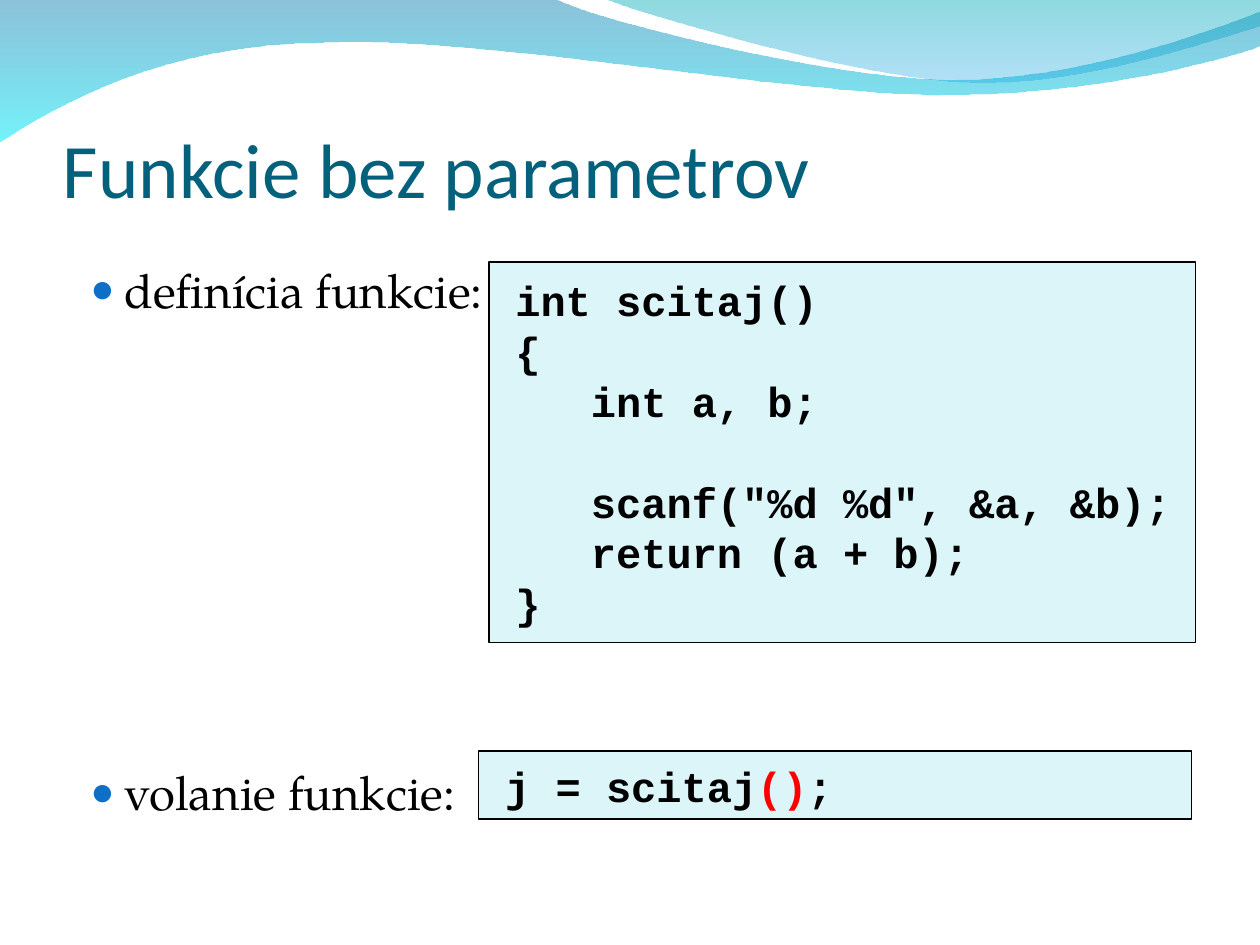
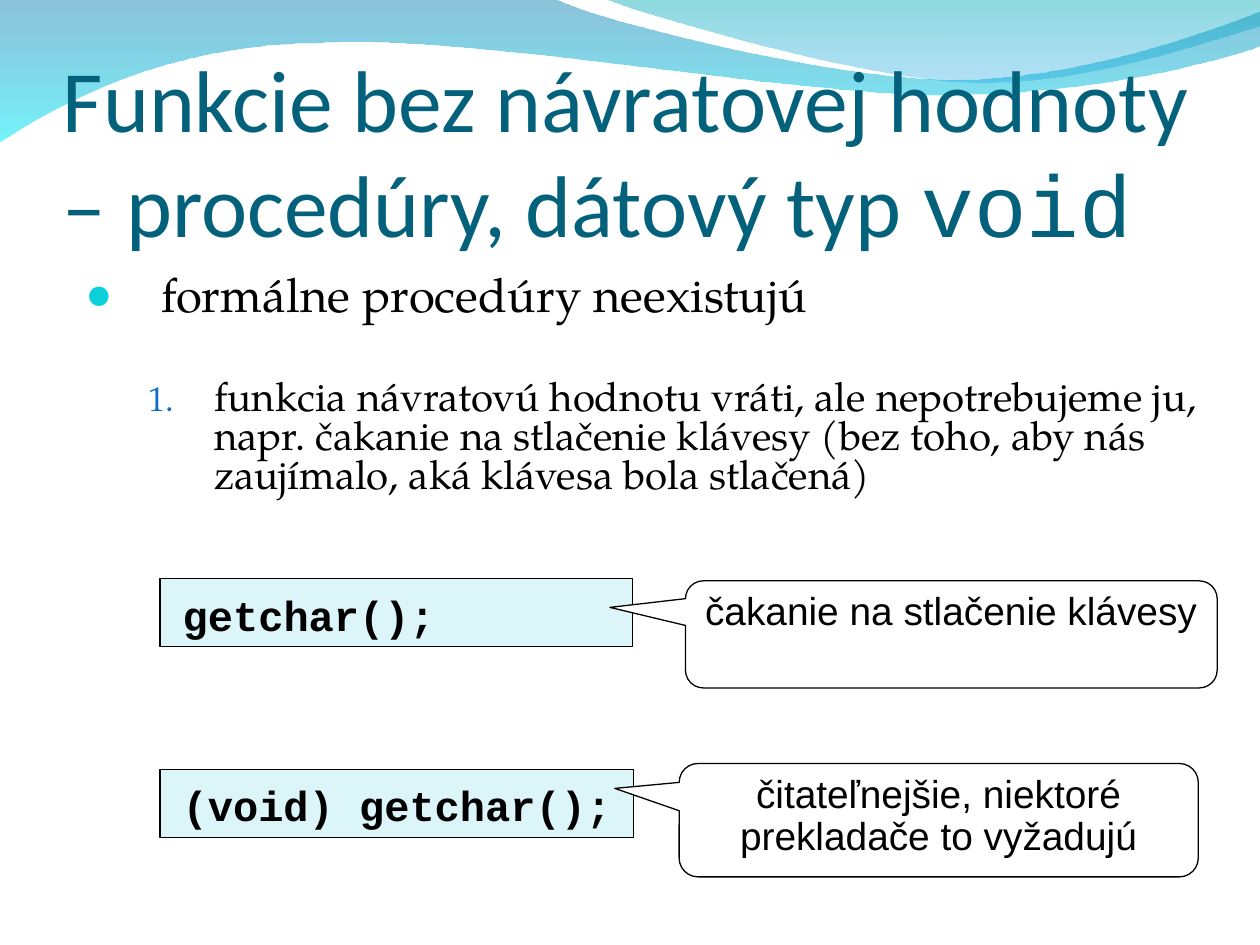
from dataclasses import dataclass

from lxml.etree import SubElement
from pptx import Presentation
from pptx.dml.color import RGBColor
from pptx.enum.shapes import MSO_SHAPE
from pptx.enum.text import MSO_ANCHOR, PP_ALIGN
from pptx.oxml.ns import qn
from pptx.util import Inches, Pt


@dataclass(frozen=True)
class Theme:
    ink: RGBColor = RGBColor.from_string("000000")
    paper: RGBColor = RGBColor.from_string("FFFFFF")
    heading: RGBColor = RGBColor.from_string("04617B")
    panel: RGBColor = RGBColor.from_string("DBF5F9")
    accent: RGBColor = RGBColor.from_string("FF0000")
    blue_mark: str = "0F6FC6"
    teal_mark: str = "0BD0D9"
    heading_font: str = "Calibri"
    body_font: str = "TeX Gyre Pagella"
    code_font: str = "Courier New"
    callout_font: str = "Arial"
    mark_font: str = "Arial"
    heading_size: float = 44
    long_heading_size: float = 50
    body_size: float = 27
    item_size: float = 23
    code_size: float = 24
    callout_size: float = 22.2


theme = Theme()


def write(frame, paragraphs, font, size, color, insets=(0.1, 0.05, 0.1, 0.05), bold=False):
    """Fill a text frame; each paragraph is a list of text runs."""
    frame.word_wrap = True
    frame.vertical_anchor = MSO_ANCHOR.TOP
    frame.margin_left, frame.margin_top, frame.margin_right, frame.margin_bottom = map(Inches, insets)
    for index, runs in enumerate(paragraphs):
        paragraph = frame.add_paragraph() if index else frame.paragraphs[0]
        paragraph.alignment = PP_ALIGN.LEFT
        paragraph.font.name = font
        paragraph.font.size = Pt(size)
        paragraph.font.bold = bold
        paragraph.font.color.rgb = color
        for text in runs:
            paragraph.add_run().text = text


def write_marked(paragraph, text, margin, hang, mark, mark_color, mark_percent, size):
    """Write a body paragraph with a bullet, or a number when mark is None."""
    properties = paragraph._p.get_or_add_pPr()
    properties.set("marL", str(Inches(margin)))
    properties.set("indent", str(-Inches(hang)))
    SubElement(SubElement(properties, qn("a:buClr")), qn("a:srgbClr"), val=mark_color)
    SubElement(properties, qn("a:buSzPct"), val=str(mark_percent * 1000))
    if mark:
        SubElement(properties, qn("a:buFont"), typeface=theme.mark_font)
        SubElement(properties, qn("a:buChar"), char=mark)
    else:
        SubElement(properties, qn("a:buAutoNum"), type="arabicPeriod")
    paragraph.font.name = theme.body_font
    paragraph.font.size = Pt(size)
    paragraph.font.color.rgb = theme.ink
    paragraph.add_run().text = text


# Wave outlines: one point is a line end, three points are a cubic curve
waves = [
    ((0, -0.01),
     [[(4.4, -0.01)],
      [(4.76, 0.17), (6.64, 0.63), (7.58, 0.63)],
      [(8.53, 0.63), (9.58, 0.26), (10, 0.09)],
      [(10.01, 0.36)],
      [(9.83, 0.44), (8.7, 0.76), (7.46, 0.75)],
      [(6.22, 0.75), (3.82, 0.28), (2.57, 0.34)],
      [(1.29, 0.35), (0.46, 0.83), (-0.01, 1.13)],
      [(0, -0.01)]],
     [("0079AF", 45), ("00EBF8", 55)]),
    ((4.79, -0.01),
     [[(5.09, 0.11), (6.82, 0.62), (7.69, 0.65)],
      [(8.56, 0.69), (9.61, 0.32), (10, 0.21)],
      [(10, 0)],
      [(4.79, -0.01)]],
     [("00ADB6", 45), ("009BE5", 30)]),
]

# Heading: runs, size, height
headings = [
    (["Funkcie bez parametrov"], theme.heading_size, 0.93),
    (["Funkcie bez návratovej hodnoty – procedúry, dátový typ ", "void"],
     theme.long_heading_size, 1.25),
]

# Code panels: left, top, width, height, text insets, lines
code_panels = [
    [(3.88, 2.08, 5.61, 3.02, (0.21, 0.1, 0.1, 0.05),
      [["int scitaj()"], ["{"], ["   int a, b;"], [" "],
       ['   scanf("%d %d", &a, &b);'], ["   return (a + b);"], ["}"]]),
     (3.8, 5.96, 5.66, 0.54, (0.21, 0.08, 0.1, 0), [["j = scitaj", "()", ";"]])],
    [(1.27, 4.59, 3.75, 0.54, (0.18, 0.09, 0.1, 0), [["getchar();"]]),
     (1.27, 6.11, 3.76, 0.54, (0.18, 0.08, 0.1, 0), [["(void) getchar();"]])],
]

presentation = Presentation()
presentation.slide_width = Inches(10)
presentation.slide_height = Inches(7.5)
slides = []

# Shared parts: waves, heading, code panels
for (heading_runs, heading_size, heading_height), panels in zip(headings, code_panels):
    slide = presentation.slides.add_slide(presentation.slide_layouts[6])
    slides.append(slide)

    for start, segments, stops in waves:
        builder = slide.shapes.build_freeform(*map(Inches, start))
        builder.add_line_segments(
            [(Inches(x), Inches(y)) for segment in segments for x, y in segment], close=True)
        wave = builder.convert_to_shape()
        # Join the three points of each curve into one cubic segment
        line_nodes = iter(list(wave._element.iter(qn("a:lnTo"))))
        for segment in segments:
            nodes = [next(line_nodes) for _ in segment]
            if len(nodes) == 3:
                outline = nodes[0].getparent()
                curve = SubElement(outline, qn("a:cubicBezTo"))
                nodes[0].addprevious(curve)
                for node in nodes:
                    curve.append(node[0])
                    outline.remove(node)
        wave.shadow.inherit = False
        wave.line.fill.background()
        wave.fill.gradient()
        wave.fill.gradient_angle = 270
        for stop, (color, _) in zip(wave.fill.gradient_stops, stops):
            stop.color.rgb = RGBColor.from_string(color)
        for node, (_, opacity) in zip(wave._element.spPr.iter(qn("a:srgbClr")), stops):
            SubElement(node, qn("a:alpha"), val=str(opacity * 1000))

    heading = slide.shapes.add_textbox(
        Inches(0.5), Inches(0.77), Inches(9), Inches(heading_height)).text_frame
    write(heading, [heading_runs], theme.heading_font, heading_size, theme.heading,
          insets=(0, 0.05, 0, 0))
    heading.vertical_anchor = MSO_ANCHOR.BOTTOM

    for left, top, width, height, insets, lines in panels:
        panel = slide.shapes.add_shape(
            MSO_SHAPE.RECTANGLE, Inches(left), Inches(top), Inches(width), Inches(height))
        panel.shadow.inherit = False
        panel.fill.solid()
        panel.fill.fore_color.rgb = theme.panel
        panel.line.color.rgb = theme.ink
        panel.line.width = Pt(0.75)
        write(panel.text_frame, lines, theme.code_font, theme.code_size, theme.ink,
              insets, bold=True)
        for line in panel.text_frame.paragraphs:
            for run in line.runs:
                if run.text == "()":
                    run.font.color.rgb = theme.accent

definition_slide, procedure_slide = slides

# Slide 1: labels beside the code
for label, top in (("definícia funkcie:", 2.02), ("volanie funkcie:", 6.01)):
    label_frame = definition_slide.shapes.add_textbox(
        Inches(0.19), Inches(top), Inches(3.8), Inches(0.55)).text_frame
    label_frame.word_wrap = True
    write_marked(label_frame.paragraphs[0], label, 0.7, 0.27, "●",
                 theme.blue_mark, 85, theme.body_size)

# Slide 2: void in the code font
void_word = procedure_slide.shapes[len(waves)].text_frame.paragraphs[0].runs[1]
void_word.font.name = theme.code_font

# Slide 2: statement and numbered case
statement = procedure_slide.shapes.add_textbox(
    Inches(0.58), Inches(2.06), Inches(9.22), Inches(2.36)).text_frame
statement.word_wrap = True
write_marked(statement.paragraphs[0], "formálne procedúry neexistujú", 0.6, 0.6, "●",
             theme.teal_mark, 95, theme.body_size)
case = statement.add_paragraph()
write_marked(case,
             "funkcia návratovú hodnotu vráti, ale nepotrebujeme ju, napr. čakanie na "
             "stlačenie klávesy (bez toho, aby nás zaujímalo, aká klávesa bola stlačená)",
             1.02, 0.52, None, theme.blue_mark, 85, theme.item_size)
case.line_spacing = 0.8
case.space_before = Pt(33.5)

# Slide 2: callouts pointing at the code
callouts = [
    (5.44, 4.61, 4.22, 0.85, (-0.642, -0.252, 0.167), "čakanie na stlačenie klávesy"),
    (5.39, 6.06, 4.12, 0.9, (-0.624, -0.28, 0.167),
     "čitateľnejšie, niektoré prekladače to vyžadujú"),
]
for left, top, width, height, adjustments, remark in callouts:
    callout = procedure_slide.shapes.add_shape(
        MSO_SHAPE.ROUNDED_RECTANGULAR_CALLOUT,
        Inches(left), Inches(top), Inches(width), Inches(height))
    for index, value in enumerate(adjustments):
        callout.adjustments[index] = value
    callout.shadow.inherit = False
    callout.fill.solid()
    callout.fill.fore_color.rgb = theme.paper
    callout.line.color.rgb = theme.ink
    callout.line.width = Pt(0.75)
    write(callout.text_frame, [[remark]], theme.callout_font, theme.callout_size, theme.ink)
    callout.text_frame.paragraphs[0].alignment = PP_ALIGN.CENTER
    callout.text_frame.paragraphs[0].line_spacing = 0.9

presentation.save("out.pptx")
